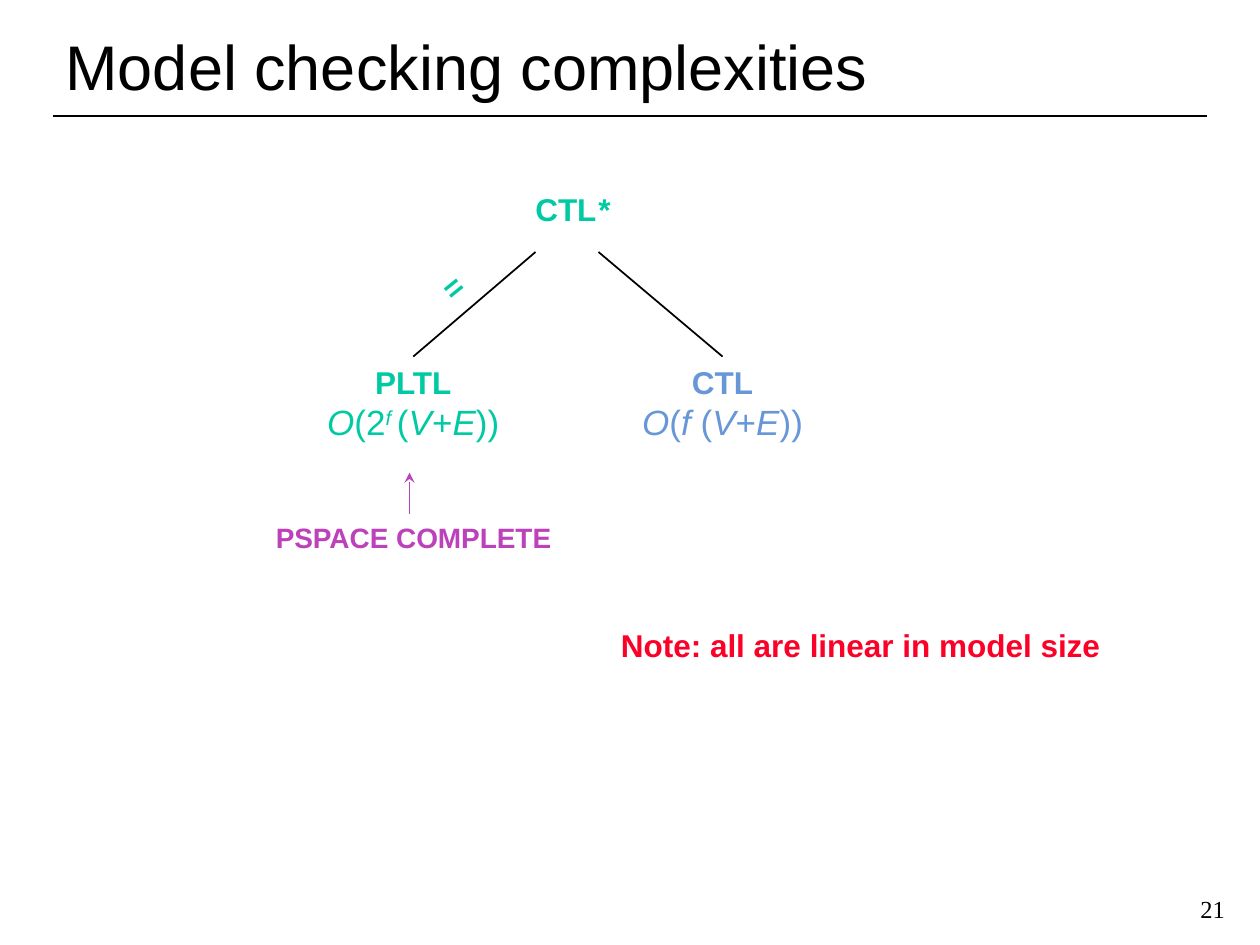
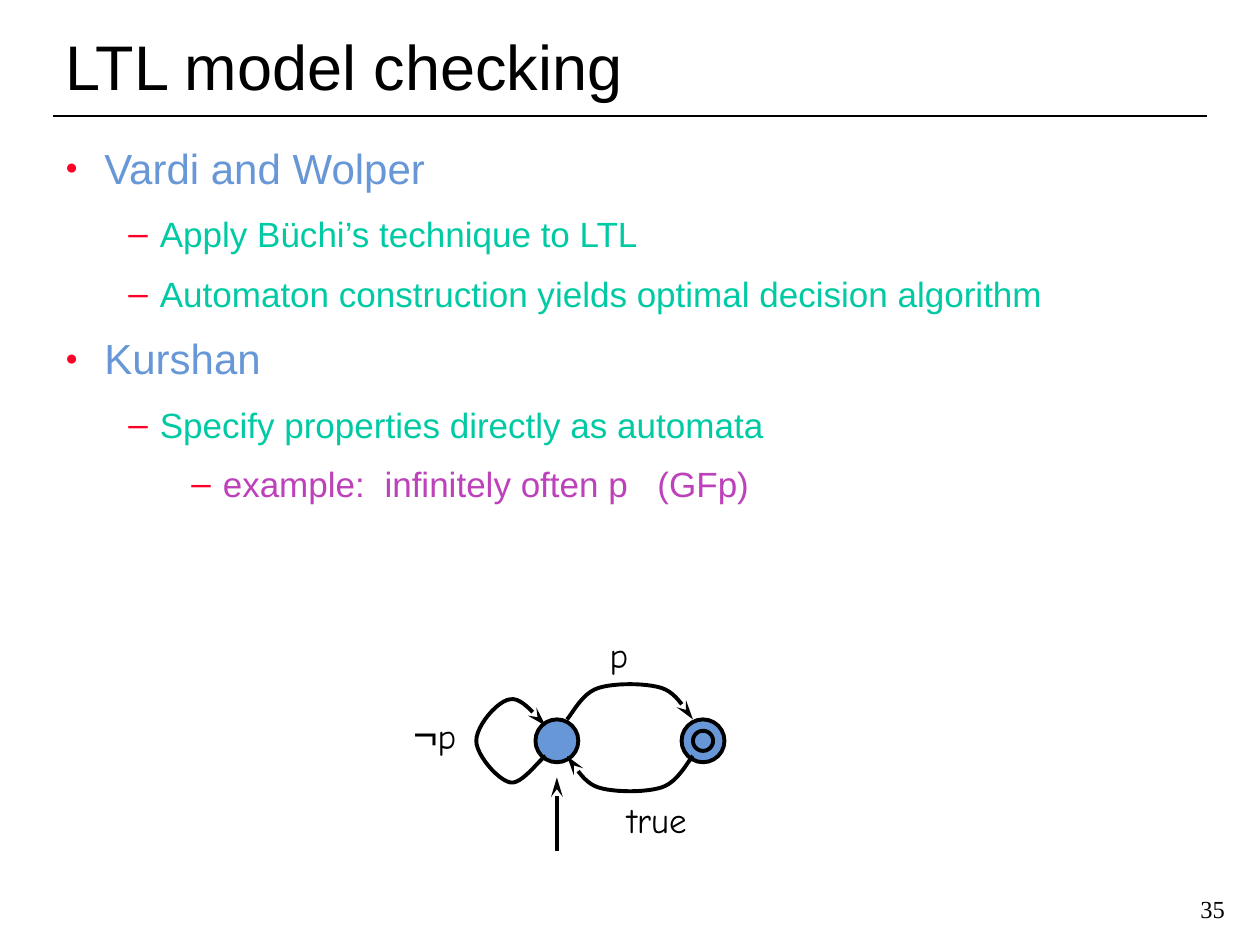
import pptx
import pptx.util
import pptx.dml.color
import pptx.enum.shapes
import pptx.enum.text
import pptx.oxml.ns
from lxml import etree

Inches, Pt = pptx.util.Inches, pptx.util.Pt
ALIGN = pptx.enum.text.PP_ALIGN
ANCHOR = pptx.enum.text.MSO_ANCHOR
FIT = pptx.enum.text.MSO_AUTO_SIZE
qn = pptx.oxml.ns.qn

COLORS = {"black": "000000", "green": "00CAA4", "blue": "6797D7",
          "red": "FC0128", "purple": "BD41BA"}
MAIN, NUMBER, HAND = "Arial", "Times New Roman", "Comic Neue"

# Bullet levels: left margin, hanging indent, space before, space after, character, size %
LEVELS = [(0.31, 0.31, 3, 9, "●", 50),
          (0.75, 0.25, 2.5, 7.5, "–", 100),
          (1.25, 0.25, 2.5, 7.5, "–", 100)]


def rgb(name):
    return pptx.dml.color.RGBColor.from_string(COLORS[name])


def bezier(start, *curves, steps=12):
    """Points along a chain of cubic curves, each given by three points."""
    points = [start]
    for c1, c2, end in curves:
        p0 = points[-1]
        for i in range(1, steps + 1):
            t = i / steps
            u = 1 - t
            points.append(tuple(
                u**3 * a + 3 * u * u * t * b + 3 * u * t * t * c + t**3 * d
                for a, b, c, d in zip(p0, c1, c2, end)))
    return points


class Deck:
    def __init__(self):
        self.prs = pptx.Presentation()
        self.prs.slide_width, self.prs.slide_height = Inches(10), Inches(7.5)

    def slide(self, title, number):
        self.s = self.prs.slides.add_slide(self.prs.slide_layouts[5])
        self.line((0.42, 0.92), (9.58, 0.92))
        sp = self.s.shapes.title
        sp.left, sp.top, sp.width, sp.height = map(Inches, (0.42, 0.17, 8.88, 0.7))
        tf = sp.text_frame
        tf.auto_size, tf.vertical_anchor = FIT.NONE, ANCHOR.BOTTOM
        tf.paragraphs[0].alignment = ALIGN.LEFT
        self.run(tf.paragraphs[0], title, 36)
        self.text((9.4, 7, 0.42, 0.42), [[(str(number), 14, "black", {"font": NUMBER})]],
                  align=ALIGN.RIGHT, anchor=ANCHOR.MIDDLE, wrap=True)

    def run(self, p, text, size, color="black", style=None):
        style = style or {}
        r = p.add_run()
        r.text = text
        f = r.font
        f.size, f.name, f.color.rgb = Pt(size), style.get("font", MAIN), rgb(color)
        f.bold, f.italic = style.get("bold", False), style.get("italic", False)
        for key in ("baseline", "spc"):
            if key in style:
                r._r.get_or_add_rPr().set(key, str(style[key]))

    def text(self, box, paragraphs, align=ALIGN.LEFT, anchor=ANCHOR.TOP, wrap=False, rotation=0):
        sp = self.s.shapes.add_textbox(*map(Inches, box))
        sp.rotation = rotation
        tf = sp.text_frame
        tf.word_wrap, tf.vertical_anchor = wrap, anchor
        tf.auto_size = FIT.NONE if wrap else FIT.SHAPE_TO_FIT_TEXT
        for i, runs in enumerate(paragraphs):
            p = tf.add_paragraph() if i else tf.paragraphs[0]
            p.alignment = align
            for r in runs:
                self.run(p, *r)
        return sp

    def label(self, box, text, color, size=18, **options):
        return self.text(box, [[(text, size, color, {"bold": True})]], **options)

    def bullets(self, box, items):
        """Items are (level, runs)."""
        sp = self.text(box, [runs for _, runs in items], wrap=True)
        for p, (level, _) in zip(sp.text_frame.paragraphs, items):
            margin, hang, before, after, char, percent = LEVELS[level]
            p.level = level
            p.space_before, p.space_after = Pt(before), Pt(after)
            pPr = p._p.get_or_add_pPr()
            pPr.set("marL", str(Inches(margin)))
            pPr.set("indent", str(-Inches(hang)))
            clr = etree.SubElement(pPr, qn("a:buClr"))
            etree.SubElement(clr, qn("a:srgbClr"), val=COLORS["red"])
            etree.SubElement(pPr, qn("a:buSzPct"), val=str(percent * 1000))
            etree.SubElement(pPr, qn("a:buFont"), typeface=MAIN)
            etree.SubElement(pPr, qn("a:buChar"), char=char)

    def stroke(self, sp, color, width, arrow=None):
        """Arrow is the length of the head: med or lg."""
        sp.line.color.rgb, sp.line.width = rgb(color), Pt(width)
        if arrow:
            ln = sp.line._get_or_add_ln()
            etree.SubElement(ln, qn("a:tailEnd"), type="stealth", w="med", len=arrow)

    def line(self, start, end, color="black", width=1, arrow=None, to=None):
        c = self.s.shapes.add_connector(
            pptx.enum.shapes.MSO_CONNECTOR.STRAIGHT, *map(Inches, start + end))
        if to is not None:
            c.end_connect(to, 0)
        self.stroke(c, color, width, arrow)
        etree.SubElement(c._element.spPr, qn("a:effectLst"))

    def circle(self, x, y, radius):
        sp = self.s.shapes.add_shape(
            pptx.enum.shapes.MSO_SHAPE.OVAL,
            *map(Inches, (x - radius, y - radius, 2 * radius, 2 * radius)))
        sp.shadow.inherit = False
        sp.fill.solid()
        sp.fill.fore_color.rgb = rgb("blue")
        self.stroke(sp, "black", 2.25)

    def curve(self, *path):
        points = [(Inches(x), Inches(y)) for x, y in bezier(*path)]
        fb = self.s.shapes.build_freeform(*points[0])
        fb.add_line_segments(points[1:], close=False)
        sp = fb.convert_to_shape()
        sp.shadow.inherit = False
        sp.fill.background()
        self.stroke(sp, "black", 2.25, arrow="lg")


def formula(color, *parts):
    """Variables are slanted; a part with ^ in front is raised."""
    runs = []
    for part in parts:
        style = {"italic": part.strip("^ ").isalpha()}
        if part.startswith("^"):
            style["baseline"] = 30000
        runs.append((part.lstrip("^"), 20, color, style))
    return runs


def complexities(d):
    d.slide("Model checking complexities", 21)

    # Logics
    d.label((4.15, 1.46, 0.75, 0.4), "CTL", "green")
    d.label((4.65, 1.46, 0.29, 0.4), "*", "green")
    bold = {"bold": True}
    pltl = d.text((2.45, 2.83, 1.66, 0.74),
                  [[("PLTL", 18, "green", bold)],
                   formula("green", "O", "(2", "^f ", "(", "V", "+", "E", "))")],
                  align=ALIGN.CENTER)
    ctl = d.text((4.95, 2.83, 1.57, 0.74),
                 [[("CTL", 18, "blue", bold)],
                  formula("blue", "O", "(", "f", " (", "V", "+", "E", "))")],
                 align=ALIGN.CENTER)

    # Branches
    d.line((4.25, 2), (3.25, 2.83), to=pltl)
    d.line((4.75, 2), (5.75, 2.83), to=ctl)
    d.label((3.42, 2.08, 0.34, 0.4), "=", "green", rotation=321.1)

    # Remarks
    d.label((4.83, 4.92, 4.1, 0.4), "Note: all are linear in model size", "red")
    d.label((2.09, 4.08, 2.45, 0.37), "PSPACE COMPLETE", "purple", size=16)
    d.line((3.25, 4.08), (3.25, 3.75), "purple", arrow="med")


def ltl(d):
    d.slide("LTL model checking", 35)

    # Bullets; the example's wide gaps come from letter spacing on single spaces
    def gap(spacing):
        return (" ", 20, "purple", {"spc": spacing})

    d.bullets((0.42, 1.08, 9.17, 5.83), [
        (0, [("Vardi and Wolper", 24, "blue")]),
        (1, [("Apply Büchi’s technique to LTL", 20, "green")]),
        (1, [("Automaton construction yields optimal decision algorithm", 20, "green")]),
        (0, [("Kurshan", 24, "blue")]),
        (1, [("Specify properties directly as automata", 20, "green")]),
        (2, [("example:", 20, "purple"), gap(556), ("infinitely often p", 20, "purple"),
             gap(1112), ("(GFp)", 20, "purple")]),
    ])

    # States
    d.circle(4.42, 5.88, 0.17)
    d.circle(5.58, 5.88, 0.17)
    d.circle(5.58, 5.88, 0.08)

    # Transitions
    d.curve((4.5, 5.71),
            ((4.54, 5.67), (4.62, 5.5), (4.75, 5.46)),
            ((4.88, 5.42), (5.12, 5.42), (5.25, 5.46)),
            ((5.38, 5.5), (5.45, 5.66), (5.5, 5.71)))
    d.curve((5.5, 6),
            ((5.46, 6.04), (5.38, 6.21), (5.25, 6.25)),
            ((5.12, 6.29), (4.88, 6.29), (4.75, 6.25)),
            ((4.62, 6.21), (4.55, 6.05), (4.5, 6)))
    d.curve((4.33, 6),
            ((4.28, 6.03), (4.14, 6.23), (4.05, 6.21)),
            ((3.95, 6.19), (3.78, 5.99), (3.78, 5.88)),
            ((3.78, 5.76), (3.95, 5.56), (4.05, 5.55)),
            ((4.15, 5.53), (4.27, 5.71), (4.33, 5.76)))
    d.line((4.42, 6.75), (4.42, 6.17), width=2.25, arrow="lg")

    # Transition labels
    hand = {"font": HAND}
    d.text((4.74, 4.98, 0.35, 0.44), [[("p", 20, "black", hand)]])
    d.text((4.88, 6.29, 0.7, 0.44), [[("true", 20, "black", hand)]])
    d.text((3.18, 5.57, 0.58, 0.5), [[("¬", 24), ("p", 20, "black", hand)]])


def main():
    d = Deck()
    complexities(d)
    ltl(d)
    d.prs.save("out.pptx")


if __name__ == "__main__":
    main()
